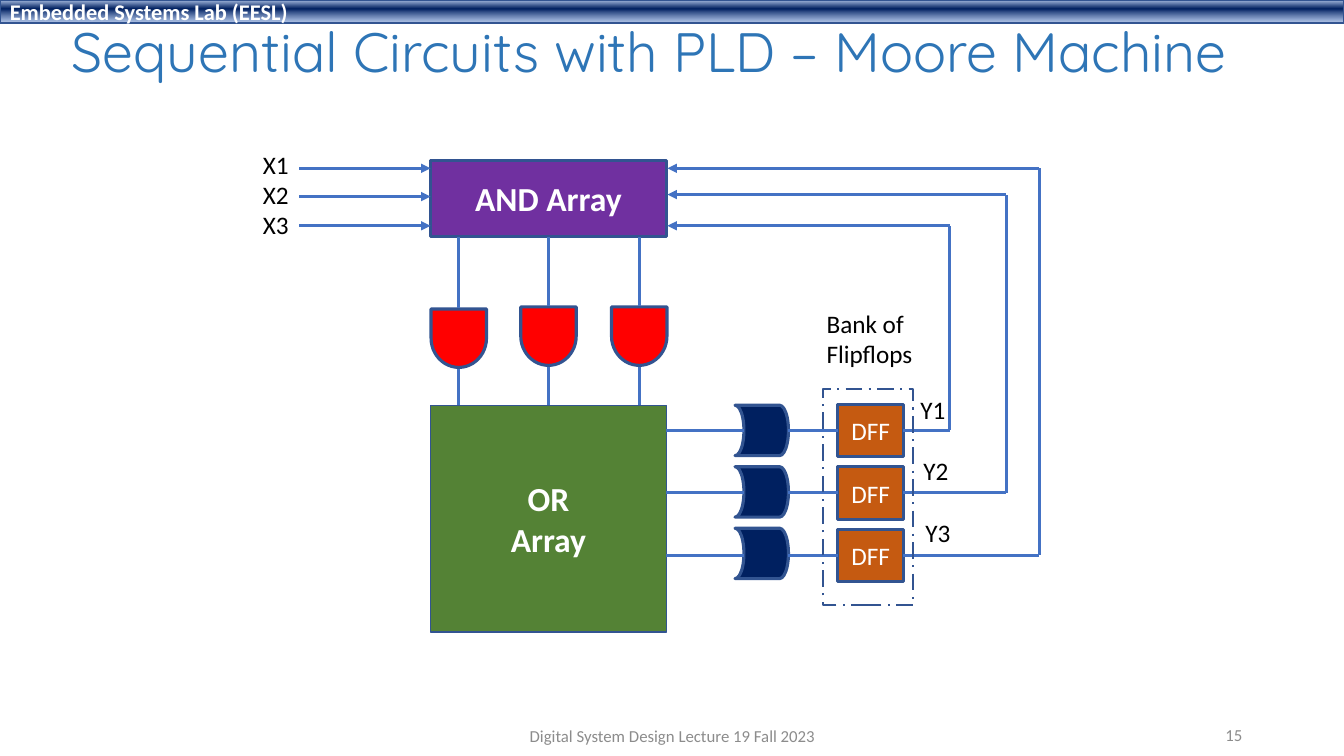
import copy

import pptx
import pptx.dml.color
import pptx.enum.dml
import pptx.enum.shapes
import pptx.enum.text
import pptx.oxml
import pptx.oxml.ns
import pptx.util

PX = 9144  # 100 px to the inch
SHAPE = pptx.enum.shapes.MSO_SHAPE
ALIGN = pptx.enum.text.PP_ALIGN
ANCHOR = pptx.enum.text.MSO_ANCHOR
TOP, LEFT, BOTTOM, RIGHT = range(4)
COLORS = {
    "title": "2E75B6", "outline": "325491", "wire": "4472C4",
    "and_array": "7030A0", "or_array": "548235", "and_gate": "FF0000",
    "or_gate": "002060", "flipflop": "C55A11", "footer": "8C8C8C",
    "white": "FFFFFF", "black": "000000",
    "bar_top": "ABC0E4", "bar_middle": "002060", "bar_bottom": "7E9ED6",
}


def px(*lengths):
    return [pptx.util.Emu(length * PX) for length in lengths]


def rgb(color):
    return pptx.dml.color.RGBColor.from_string(COLORS[color])


def write(frame, text, size=18, color="black", font="Calibri", bold=False,
          align=ALIGN.LEFT, anchor=ANCHOR.TOP, wrap=True, spacing=None):
    frame.word_wrap = wrap
    frame.vertical_anchor = anchor
    for index, line in enumerate(text.split("\n")):
        paragraph = frame.paragraphs[0] if index == 0 else frame.add_paragraph()
        paragraph.alignment = align
        paragraph.line_spacing = spacing
        run = paragraph.add_run()
        run.text = line
        run.font.name = font
        run.font.size = pptx.util.Pt(size)
        run.font.bold = bold
        run.font.color.rgb = rgb(color)


def add_label(slide, text, box, **style):
    write(slide.shapes.add_textbox(*px(*box)).text_frame, text, **style)


def add_block(slide, kind, box, fill=None, weight=2.25, rotation=0):
    block = slide.shapes.add_shape(kind, *px(*box))
    block.shadow.inherit = False
    block.rotation = rotation
    if fill:
        block.fill.solid()
        block.fill.fore_color.rgb = rgb(fill)
    else:
        block.fill.background()
    block.line.color.rgb = rgb("outline")
    block.line.width = pptx.util.Pt(weight)
    return block


def add_wire(slide, x1, y1, x2, y2, arrow=False, begin=None, end=None):
    """Draw a wire; begin and end are (block, side) pairs to join."""
    wire = slide.shapes.add_connector(
        pptx.enum.shapes.MSO_CONNECTOR.STRAIGHT, *px(x1, y1, x2, y2))
    wire.line.color.rgb = rgb("wire")
    wire.line.width = pptx.util.Pt(2.25)
    properties = wire.element.spPr
    if arrow:
        head = pptx.oxml.parse_xml(
            f'<a:tailEnd {pptx.oxml.ns.nsdecls("a")} type="triangle"/>')
        properties.find(pptx.oxml.ns.qn("a:ln")).append(head)
    properties.append(pptx.oxml.parse_xml(
        f'<a:effectLst {pptx.oxml.ns.nsdecls("a")}/>'))
    if begin:
        wire.begin_connect(*begin)
    if end:
        wire.end_connect(*end)


def add_header_bar(slide):
    bar = add_block(slide, SHAPE.RECTANGLE, (0, 0, 1333, 23), weight=1)
    bar.fill.gradient()
    bar.fill.gradient_angle = 270
    stop_list = bar.element.spPr.find(".//" + pptx.oxml.ns.qn("a:gsLst"))
    stop_list.append(copy.deepcopy(stop_list[-1]))
    stops = [("bar_top", 0.02), ("bar_middle", 0.38), ("bar_bottom", 0.93)]
    for stop, (color, position) in zip(bar.fill.gradient_stops, stops):
        stop.color.rgb = rgb(color)
        stop.position = position
    stop_list[-1][0].append(pptx.oxml.parse_xml(
        f'<a:alpha {pptx.oxml.ns.nsdecls("a")} val="64000"/>'))
    write(bar.text_frame, "Embedded Systems Lab (EESL)", size=16,
          color="white", bold=True, anchor=ANCHOR.MIDDLE)


def add_title(slide, text):
    title = slide.shapes.title
    title.left, title.top, title.width, title.height = px(61, 17, 1273, 74)
    write(title.text_frame, text, size=39.6, color="title", font="Quicksand",
          anchor=ANCHOR.MIDDLE, spacing=0.9)


def add_array(slide, text, box, fill, weight):
    array = add_block(slide, SHAPE.RECTANGLE, box, fill, weight)
    write(array.text_frame, text, size=24, color="white", bold=True,
          align=ALIGN.CENTER, anchor=ANCHOR.MIDDLE)
    return array


def add_and_plane(slide, and_array, or_array):
    add_label(slide, "X1\nX2\nX3", (251, 143, 46, 101), wrap=False)
    for y in (167, 195, 224):
        add_wire(slide, 297, y, 427, y, arrow=True)

    for x, gate_top in ((455, 306), (544, 304), (634, 304)):
        add_block(slide, SHAPE.FLOWCHART_DELAY, (x - 29, gate_top + 2, 58, 55),
                  "and_gate", rotation=90)
        centred = x == 544
        add_wire(slide, x, 235, x, gate_top,
                 begin=(and_array, BOTTOM) if centred else None)
        add_wire(slide, x, gate_top + 60, x, 402,
                 end=(or_array, TOP) if centred else None)


def add_output_row(slide, name, row, name_x, bus_x, return_y):
    """Draw one OR gate, its flip-flop and the feedback to the AND array."""
    y = 427 + 62 * row
    gate_top = 402 + 61 * row
    add_block(slide, SHAPE.FLOWCHART_STORED_DATA, (729, gate_top, 53, 50),
              "or_gate", rotation=180)
    flipflop = add_block(slide, SHAPE.RECTANGLE, (831, y - 26, 65, 52), "flipflop")
    write(flipflop.text_frame, "DFF", color="white", align=ALIGN.CENTER,
          anchor=ANCHOR.MIDDLE)
    add_wire(slide, 661, y, 738, y)
    add_wire(slide, 782, y, 831, y, end=(flipflop, LEFT))
    add_wire(slide, 896, y, bus_x, y, begin=(flipflop, RIGHT))
    add_wire(slide, bus_x, y, bus_x, return_y)
    add_wire(slide, bus_x, return_y, 662, return_y, arrow=True)
    add_label(slide, name, (name_x, y - 41 - row, 45, 40), wrap=False)


def main():
    deck = pptx.Presentation()
    deck.slide_width, deck.slide_height = px(1333, 750)
    slide = deck.slides.add_slide(deck.slide_layouts[5])
    add_header_bar(slide)
    add_title(slide, "Sequential Circuits with PLD – Moore Machine")

    and_array = add_array(slide, "AND Array", (427, 159, 234, 76), "and_array", 2.25)
    or_array = add_array(slide, "OR\nArray", (427, 402, 234, 225), "or_array", 1)
    add_and_plane(slide, and_array, or_array)
    outputs = [("Y1", 903, 942, 224), ("Y2", 906, 998, 193), ("Y3", 908, 1031, 167)]
    for row, (name, name_x, bus_x, return_y) in enumerate(outputs):
        add_output_row(slide, name, row, name_x, bus_x, return_y)

    bank = add_block(slide, SHAPE.RECTANGLE, (816, 386, 90, 214), weight=1.5)
    bank.line.dash_style = pptx.enum.dml.MSO_LINE.LONG_DASH_DOT
    add_label(slide, "Bank of\nFlipflops", (810, 301, 115, 71))

    footer = {"size": 12, "color": "footer", "anchor": ANCHOR.MIDDLE}
    add_label(slide, "Digital System Design Lecture 19 Fall 2023",
              (442, 710, 450, 40), align=ALIGN.CENTER, **footer)
    add_label(slide, "15", (942, 709, 300, 40), align=ALIGN.RIGHT, **footer)
    deck.save("out.pptx")


if __name__ == "__main__":
    main()
